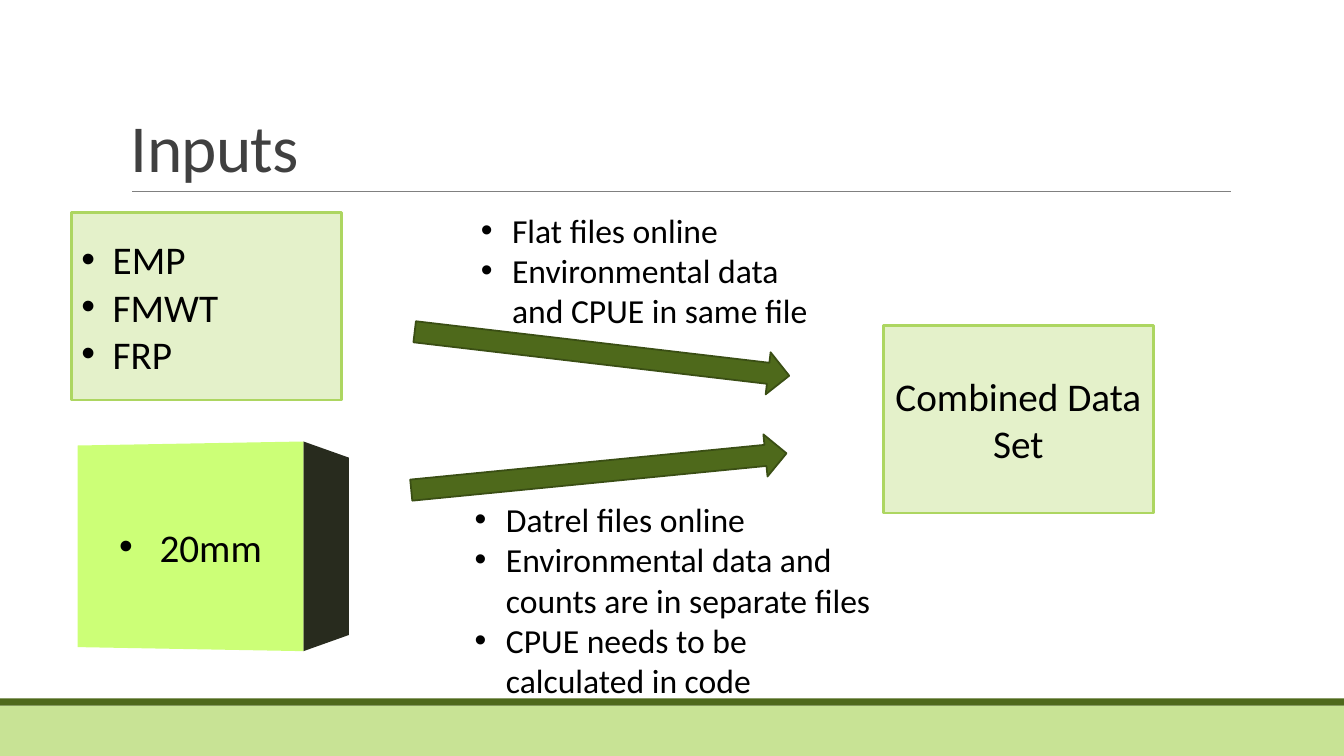
import dataclasses

import pptx
import pptx.dml.color
import pptx.enum.shapes
import pptx.enum.text
import pptx.oxml.ns
import pptx.util
import lxml.etree

Inches = pptx.util.Inches
Pt = pptx.util.Pt
Shape = pptx.enum.shapes.MSO_SHAPE
Align = pptx.enum.text.PP_ALIGN
Anchor = pptx.enum.text.MSO_ANCHOR
qn = pptx.oxml.ns.qn


@dataclasses.dataclass(frozen=True)
class Theme:
    font: str = "Calibri"
    title: int = 48
    label: int = 28
    note: int = 24
    ink: str = "000000"
    head: str = "404040"
    rule: str = "808080"
    band: str = "C8E395"
    dark: str = "4E691B"
    edge: str = "3A4E14"
    pale: str = "E4F1CA"
    rim: str = "ADD661"
    front: str = "CCFF77"
    side: str = "282B1E"


THEME = Theme()


def rgb(code):
    return pptx.dml.color.RGBColor.from_string(code)


def paint(shape, fill, line=None, width=1):
    shape.shadow.inherit = False
    shape.fill.solid()
    shape.fill.fore_color.rgb = rgb(fill)
    if line:
        shape.line.color.rgb = rgb(line)
        shape.line.width = Pt(width)
    else:
        shape.line.fill.background()


def add_rect(slide, box, *style, kind=Shape.RECTANGLE):
    shape = slide.shapes.add_shape(kind, *map(Inches, box))
    paint(shape, *style)
    return shape


def bullet(para, indent):
    props = para._p.get_or_add_pPr()
    props.set("marL", str(Inches(indent)))
    props.set("indent", str(-Inches(indent)))
    lxml.etree.SubElement(props, qn("a:buFont")).set("typeface", "Arial")
    lxml.etree.SubElement(props, qn("a:buChar")).set("char", "•")


def write(shape, lines, size, color=THEME.ink, align=Align.LEFT,
          anchor=Anchor.MIDDLE, indent=0):
    """Fill the shape with one paragraph a line, bulleted if indented."""
    frame = shape.text_frame
    frame.word_wrap = True
    frame.vertical_anchor = anchor
    frame.text = "\n".join(lines)
    for para in frame.paragraphs:
        para.alignment = align
        if indent:
            bullet(para, indent)
        for run in para.runs:
            run.font.name = THEME.font
            run.font.size = Pt(size)
            run.font.color.rgb = rgb(color)


def add_foot(slide, box):
    left, top, width, height = box
    strip = 0.07
    add_rect(slide, (left, top + strip, width, height - strip), THEME.band)
    add_rect(slide, (left, top, width, strip), THEME.dark)


def add_title(slide, box, text):
    left, top, width, height = box
    base = top + height
    rule = slide.shapes.add_connector(
        pptx.enum.shapes.MSO_CONNECTOR.STRAIGHT,
        *map(Inches, (left + 0.11, base, left + width + 0.01, base)))
    rule.line.color.rgb = rgb(THEME.rule)
    rule.line.width = Pt(0.5)
    lxml.etree.SubElement(rule._element.spPr, qn("a:effectLst"))
    title = slide.shapes.add_textbox(*map(Inches, box))
    write(title, [text], THEME.title, THEME.head, anchor=Anchor.BOTTOM)
    para = title.text_frame.paragraphs[0]
    para.line_spacing = 0.85
    para.runs[0]._r.get_or_add_rPr().set("spc", "-50")


def add_card(slide, box, lines, **style):
    card = add_rect(slide, box, THEME.pale, THEME.rim, 2)
    write(card, lines, THEME.label, **style)


def add_face(slide, points, color):
    start, *rest = [tuple(map(Inches, point)) for point in points]
    pen = slide.shapes.build_freeform(*start)
    pen.add_line_segments(rest)
    face = pen.convert_to_shape()
    paint(face, color)
    return face


def add_block(slide, box, lines):
    """Draw a box in perspective with its side face on the right."""
    left, top, width, height = box
    right, base = left + width, top + height
    fold = right - 0.45
    add_face(slide, [(fold, top), (right, top + 0.16),
                     (right, base - 0.16), (fold, base)], THEME.side)
    front = add_face(slide, [(left, top + 0.04), (fold, top),
                             (fold, base), (left, base - 0.04)], THEME.front)
    write(front, lines, THEME.label, align=Align.CENTER, indent=0.4)


def add_arrow(slide, box, angle):
    arrow = add_rect(slide, box, THEME.dark, THEME.edge, 1.25,
                     kind=Shape.RIGHT_ARROW)
    arrow.rotation = angle


def add_note(slide, box, lines):
    note = slide.shapes.add_textbox(*map(Inches, box))
    write(note, lines, THEME.note, anchor=Anchor.TOP, indent=0.31)


def main():
    deck = pptx.Presentation()
    deck.slide_width, deck.slide_height = Inches(13.33), Inches(7.5)
    slide = deck.slides.add_slide(deck.slide_layouts[6])
    add_foot(slide, (0, 6.93, 13.33, 0.57))
    add_title(slide, (1.2, 0.31, 11, 1.59), "Inputs")
    add_block(slide, (0.77, 4.38, 2.69, 2.08), ["20mm"])
    add_card(slide, (0.71, 2.11, 2.68, 1.86), ["EMP", "FMWT", "FRP"],
             indent=0.31)
    add_arrow(slide, (4.07, 4.47, 3.74, 0.42), 354.4)
    add_note(slide, (4.67, 2.03, 3.62, 1.31),
             ["Flat files online",
              "Environmental data and CPUE in same file"])
    add_note(slide, (4.61, 4.9, 4.23, 2.12),
             ["Datrel files online",
              "Environmental data and counts are in separate files",
              "CPUE needs to be calculated in code"])
    add_arrow(slide, (4.1, 3.3, 3.74, 0.42), 6.7)
    add_card(slide, (8.76, 3.23, 2.68, 1.86), ["Combined Data Set"],
             align=Align.CENTER)
    deck.save("out.pptx")


if __name__ == "__main__":
    main()
